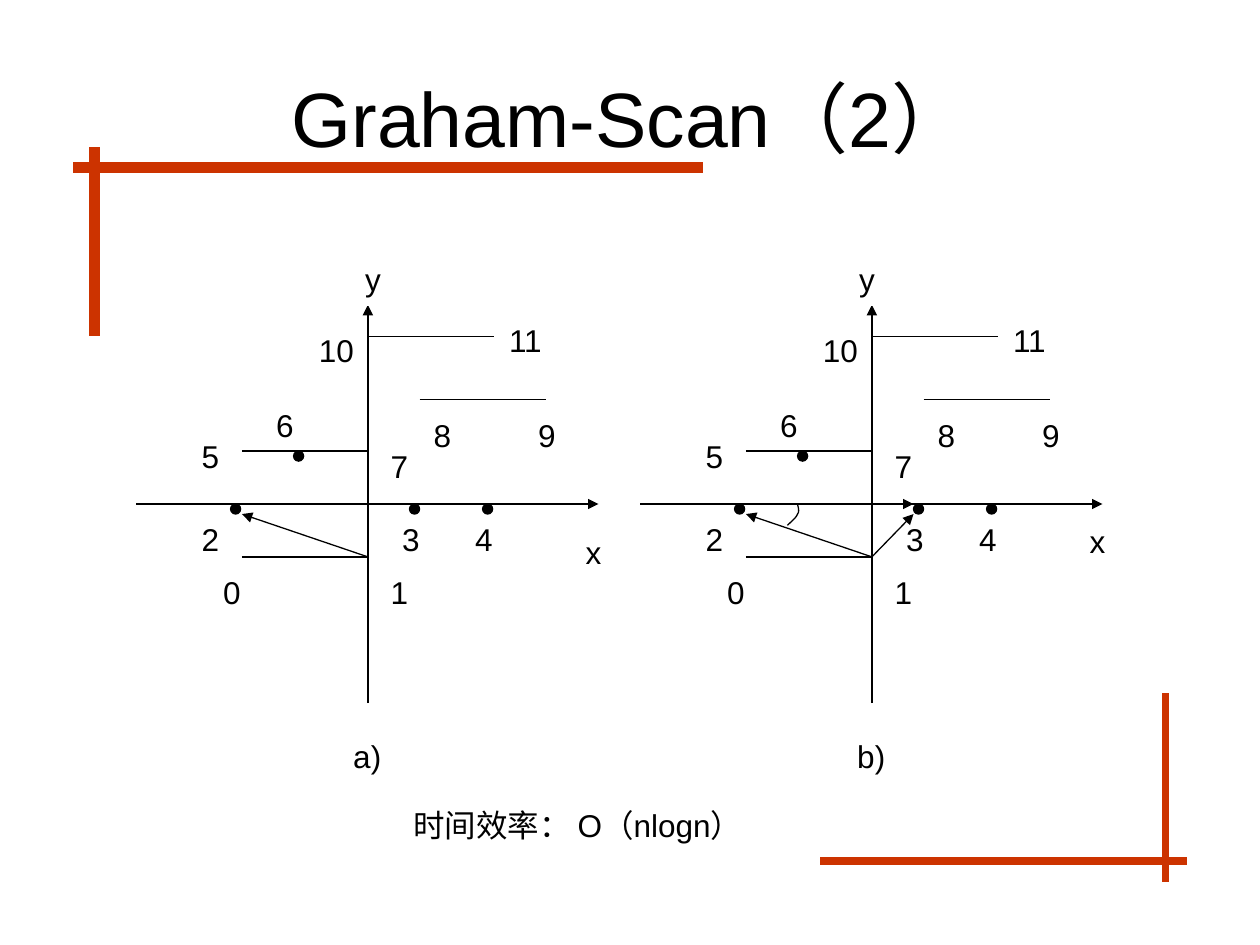
from lxml import etree
from pptx import Presentation
from pptx.dml.color import RGBColor
from pptx.enum import shapes, text
from pptx.oxml import ns
from pptx.util import Inches, Pt

BLACK = RGBColor(0x00, 0x00, 0x00)
WHITE = RGBColor(0xFF, 0xFF, 0xFF)
RED = RGBColor(0xCC, 0x33, 0x00)

SEGMENTS = [
    (0.84, 1.58, 1.84, 1.58),
    (1.84, 0.67, 2.84, 0.67),
    (2.25, 1.17, 3.25, 1.17),
    (0.84, 2.42, 1.84, 2.42),
]
POINT_LABELS = [
    ("0", 0.59, 2.5), ("1", 1.92, 2.5), ("2", 0.42, 2.08), ("3", 2.01, 2.08),
    ("4", 2.59, 2.08), ("5", 0.42, 1.42), ("6", 1.01, 1.17), ("7", 1.92, 1.5),
    ("8", 2.26, 1.25), ("9", 3.09, 1.25), ("10", 1.35, 0.58), ("11", 2.85, 0.5),
]
DOTS = [(1.25, 1.58), (2.17, 2), (2.75, 2), (0.75, 2)]
DOT_SIZE = 0.08
SCAN_START = (1.84, 2.42)
SCAN_TO_2 = (*SCAN_START, 0.84, 2.08)
SCAN_TO_3 = (*SCAN_START, 2.17, 2.08)
BASE_TO_3 = (0.84, 2, 2.17, 2)
ANGLE_CURVES = [
    [(1.17, 2.17), (1.2, 2.14), (1.24, 2.11), (1.25, 2.08)],
    [(1.25, 2.08), (1.27, 2.06), (1.25, 2.01), (1.25, 2)],
]
CURVE_STEPS = 6


def add_line(page, left, top, ends, color=BLACK, width=0.75, arrow=False):
    """Draw a straight line between ends given relative to left and top."""
    x1, y1, x2, y2 = ends
    line = page.shapes.add_connector(
        shapes.MSO_CONNECTOR.STRAIGHT,
        Inches(left + x1), Inches(top + y1), Inches(left + x2), Inches(top + y2))
    line.line.color.rgb = color
    line.line.width = Pt(width)
    if arrow:
        etree.SubElement(line.line._get_or_add_ln(), ns.qn("a:tailEnd"), type="triangle")
    etree.SubElement(line._element.spPr, ns.qn("a:effectLst"))


def add_text(page, left, top, width, height, words, size=18, fill=None):
    """Place one centred line of text, on a filled box if a fill is given."""
    box = page.shapes.add_textbox(Inches(left), Inches(top), Inches(width), Inches(height))
    if fill is not None:
        box.fill.solid()
        box.fill.fore_color.rgb = fill
        box.line.color.rgb = fill
        box.line.width = Pt(0.75)
    frame = box.text_frame
    frame.word_wrap = False
    frame.vertical_anchor = text.MSO_ANCHOR.MIDDLE
    para = frame.paragraphs[0]
    para.text = words
    para.alignment = text.PP_ALIGN.CENTER
    para.font.name = "Arial"
    para.font.size = Pt(size)
    para.font.color.rgb = BLACK


def add_dot(page, left, top):
    """Draw one black point."""
    dot = page.shapes.add_shape(
        shapes.MSO_SHAPE.OVAL, Inches(left), Inches(top), Inches(DOT_SIZE), Inches(DOT_SIZE))
    dot.shadow.inherit = False
    dot.fill.solid()
    dot.fill.fore_color.rgb = BLACK
    dot.line.color.rgb = BLACK
    dot.line.width = Pt(0.75)


def curve_point(controls, share):
    """Return the point at a share of the way along a cubic curve."""
    rest = 1 - share
    weights = (rest ** 3, 3 * rest ** 2 * share, 3 * rest * share ** 2, share ** 3)
    return tuple(sum(w * c for w, c in zip(weights, axis)) for axis in zip(*controls))


def add_angle_mark(page, left, top):
    """Draw the curved mark of the turning angle."""
    points = [curve_point(controls, step / CURVE_STEPS)
              for controls in ANGLE_CURVES for step in range(CURVE_STEPS + 1)]
    places = [(Inches(left + x), Inches(top + y)) for x, y in points]
    builder = page.shapes.build_freeform(*places[0])
    builder.add_line_segments(places[1:], close=False)
    mark = builder.convert_to_shape()
    mark.shadow.inherit = False
    mark.fill.background()
    mark.line.color.rgb = BLACK
    mark.line.width = Pt(0.75)


def add_plane(page, left, top, caption, x_label, y_label, arrows):
    """Draw one coordinate plane with its points, segments and scan arrows."""
    for axis in [(0, 2, 3.67, 2), (1.84, 3.58, 1.84, 0.42)]:
        add_line(page, left, top, axis, arrow=True)
    for segment in SEGMENTS:
        add_line(page, left, top, segment)
    for words, x, y in POINT_LABELS:
        add_text(page, left + x, top + y, 0.2 + 0.14 * len(words), 0.4, words)
    for x, y in DOTS:
        add_dot(page, left + x, top + y)
    for arrow in arrows:
        add_line(page, left, top, arrow, arrow=True)
    add_text(page, left + 1.5, top + 3.75, 0.67, 0.5, caption, fill=WHITE)
    for words, (x, y) in [("x", x_label), ("y", y_label)]:
        add_text(page, left + x, top + y, 0.42, 0.42, words, fill=WHITE)


def add_frame(page, left, top):
    """Draw the crossed red rules in two opposite corners."""
    for ends, width in [
        ((0, 0.16, 5, 0.16), 6),
        ((3.84, 5.66, 8.84, 5.66), 4.5),
        ((0.17, 0, 0.17, 1.5), 6),
        ((8.67, 4.33, 8.67, 5.83), 4.5),
    ]:
        add_line(page, left, top, ends, RED, width)


def main():
    """Build the slide and save the deck."""
    deck = Presentation()
    deck.slide_width, deck.slide_height = Inches(10), Inches(7.5)
    page = deck.slides.add_slide(deck.slide_layouts[6])
    add_frame(page, 0.58, 1.17)
    add_text(page, 0.5, 0.3, 9, 1.25, "Graham-Scan（2）", size=44)
    add_plane(page, 1.08, 2, "a)", (3.42, 2.17), (1.67, 0), [SCAN_TO_2])
    add_plane(page, 5.08, 2, "b)", (3.42, 2.08), (1.59, 0),
              [SCAN_TO_2, BASE_TO_3, SCAN_TO_3])
    add_angle_mark(page, 5.08, 2)
    add_text(page, 2.67, 6.17, 3.83, 0.75, "时间效率： O（nlogn）", fill=WHITE)
    deck.save("out.pptx")


if __name__ == "__main__":
    main()
